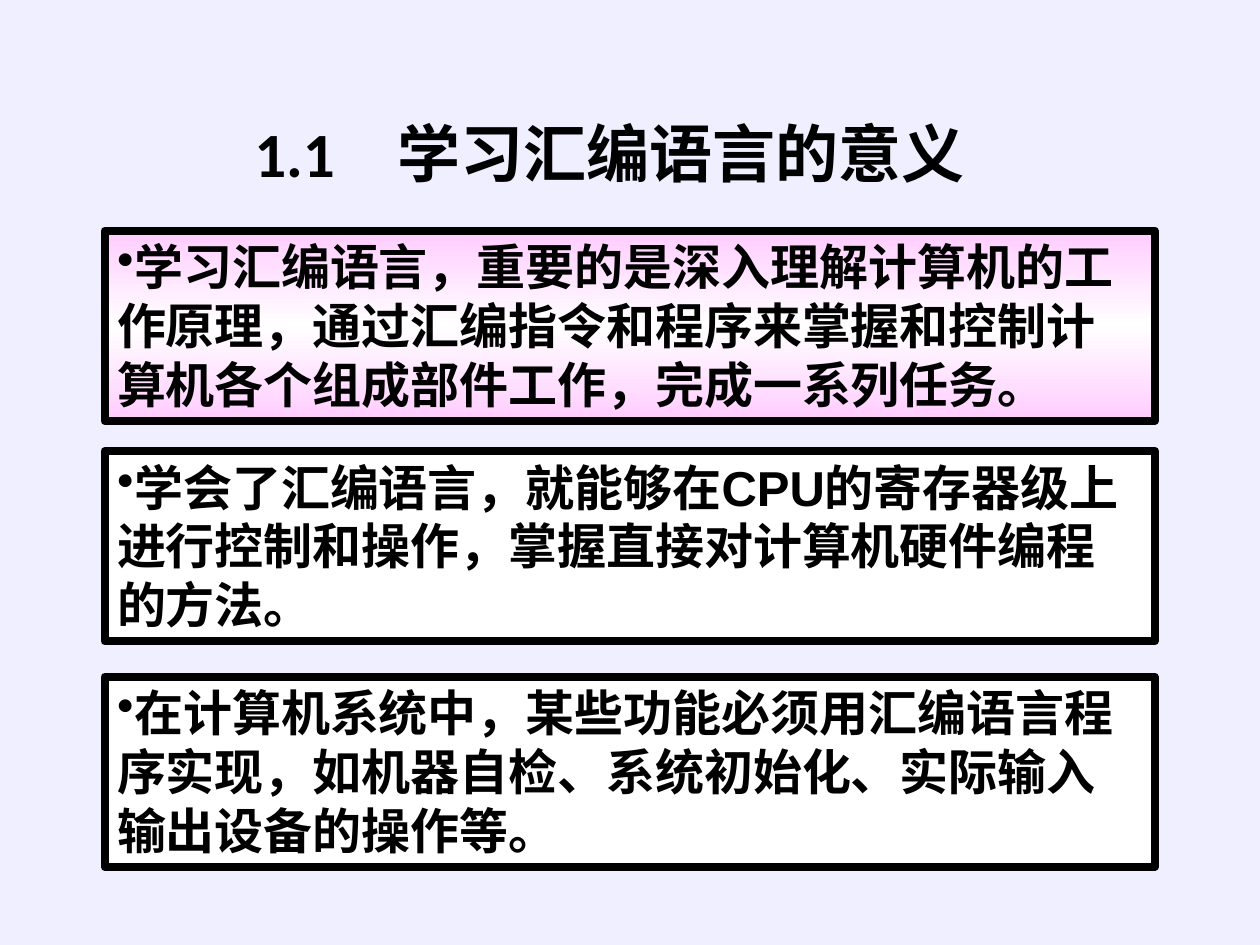
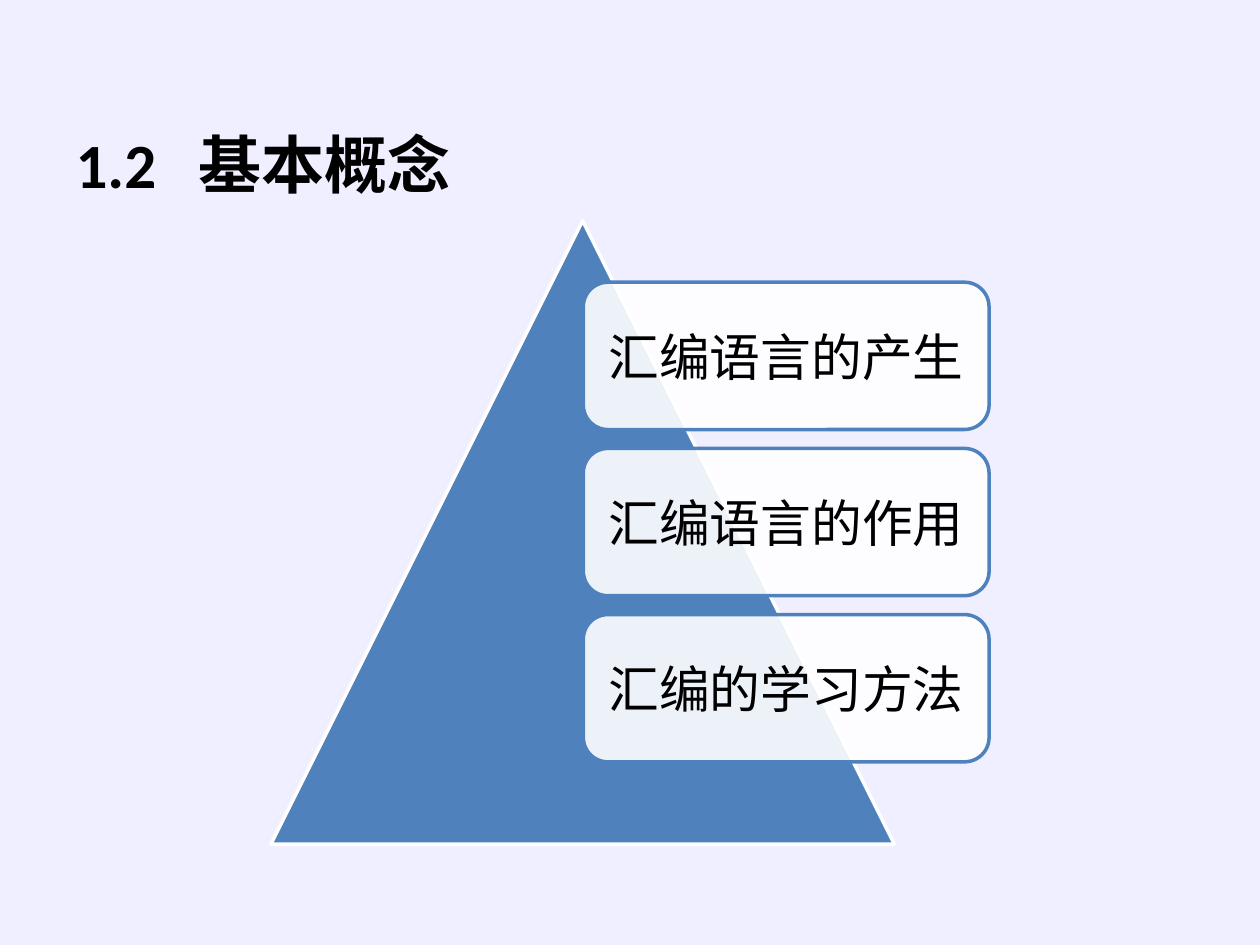
"""Build two slides on why to learn assembly language and its basic concepts."""
from copy import deepcopy

from lxml.etree import SubElement
from pptx import Presentation
from pptx.dml.color import RGBColor
from pptx.enum.shapes import MSO_SHAPE
from pptx.enum.text import MSO_ANCHOR, MSO_AUTO_SIZE, PP_ALIGN
from pptx.oxml.ns import qn
from pptx.util import Cm, Pt

LAVENDER = RGBColor(0xEF, 0xEF, 0xFF)
PINK = RGBColor(0xFF, 0xCC, 0xFF)
BLUE = RGBColor(0x4F, 0x81, 0xBD)
WHITE = RGBColor(0xFF, 0xFF, 0xFF)
BLACK = RGBColor(0x00, 0x00, 0x00)

REASONS = [
    (4.65, "学习汇编语言，重要的是深入理解计算机的工作原理，通过汇编指令和程序来掌握和控制计算机各个组成部件工作，完成一系列任务。"),
    (9.09, "学会了汇编语言，就能够在CPU的寄存器级上进行控制和操作，掌握直接对计算机硬件编程的方法。"),
    (13.64, "在计算机系统中，某些功能必须用汇编语言程序实现，如机器自检、系统初始化、实际输入输出设备的操作等。"),
]
CONCEPTS = ["汇编语言的产生", "汇编语言的作用", "汇编的学习方法"]
CONCEPT_TOP, CONCEPT_STEP = 5.69, 3.35


class Deck:
    def __init__(self):
        self.prs = Presentation()
        self.prs.slide_width, self.prs.slide_height = Cm(25.4), Cm(19.05)
        backdrop = self.prs.slide_master.background.fill
        backdrop.solid()
        backdrop.fore_color.rgb = LAVENDER
        self.slide = None

    def set_text(self, paragraph, text, font_name, size, bold, align):
        paragraph.text = text
        paragraph.alignment = align
        font = paragraph.font
        font.name, font.size, font.bold = font_name, Pt(size), bold
        font.color.rgb = BLACK

    def titled_slide(self, text, left, top, width, height, align, tab=None):
        self.slide = self.prs.slides.add_slide(self.prs.slide_layouts[5])
        title = self.slide.shapes.title
        title.left, title.top = Cm(left), Cm(top)
        title.width, title.height = Cm(width), Cm(height)
        frame = title.text_frame
        frame.auto_size = MSO_AUTO_SIZE.NONE
        frame.vertical_anchor = MSO_ANCHOR.MIDDLE
        heading = frame.paragraphs[0]
        if tab:
            stops = SubElement(heading._p.get_or_add_pPr(), qn("a:tabLst"))
            SubElement(stops, qn("a:tab"), pos=str(Cm(tab)), algn="l")
        self.set_text(heading, text, "Calibri", 36, True, align)

    def shape(self, kind, left, top, width, height, fill, line, weight):
        shape = self.slide.shapes.add_shape(kind, Cm(left), Cm(top), Cm(width), Cm(height))
        shape.shadow.inherit = False
        shape.fill.solid()
        shape.fill.fore_color.rgb = fill
        shape.line.color.rgb = line
        shape.line.width = Pt(weight)
        return shape

    def glow(self, shape):
        shape.fill.gradient()
        shape.fill.gradient_angle = 90
        stop_list = shape.fill._fill._gradFill.find(qn("a:gsLst"))
        stop_list.append(deepcopy(stop_list[-1]))
        for stop, position, color in zip(shape.fill.gradient_stops, (0, 0.5, 1), (PINK, WHITE, PINK)):
            stop.position = position
            stop.color.rgb = color

    def reason(self, top, text):
        box = self.shape(MSO_SHAPE.RECTANGLE, 2.11, top, 21.17, 3.84, WHITE, BLACK, 4.5)
        frame = box.text_frame
        frame.word_wrap = True
        frame.auto_size = MSO_AUTO_SIZE.SHAPE_TO_FIT_TEXT
        frame.vertical_anchor = MSO_ANCHOR.TOP
        paragraph = frame.paragraphs[0]
        properties = paragraph._p.get_or_add_pPr()
        properties.set("marL", "0")
        properties.set("indent", "0")
        SubElement(properties, qn("a:buFontTx"))
        SubElement(properties, qn("a:buChar"), char="•")
        self.set_text(paragraph, text, "Arial", 28, True, PP_ALIGN.LEFT)
        return box

    def concept(self, top, text):
        card = self.shape(MSO_SHAPE.ROUNDED_RECTANGLE, 11.76, top, 8.18, 2.97, WHITE, BLUE, 2)
        color = card.fill._xPr.find(qn("a:solidFill"))[0]
        SubElement(color, qn("a:alpha"), val="90000")
        frame = card.text_frame
        frame.word_wrap = True
        frame.vertical_anchor = MSO_ANCHOR.MIDDLE
        frame.margin_left = frame.margin_right = Cm(0.15)
        self.set_text(frame.paragraphs[0], text, "Calibri", 29, False, PP_ALIGN.CENTER)


def main():
    deck = Deck()

    deck.titled_slide("1.1　学习汇编语言的意义", 1.9, 1.9, 20.78, 2.34, PP_ALIGN.CENTER)
    reasons = [deck.reason(top, text) for top, text in REASONS]
    deck.glow(reasons[0])

    deck.titled_slide("1.2\t基本概念", 1.27, 1.7, 22.86, 3.18, PP_ALIGN.LEFT, tab=2.48)
    deck.shape(MSO_SHAPE.ISOSCELES_TRIANGLE, 5.46, 4.45, 12.57, 12.57, BLUE, WHITE, 2)
    for row, text in enumerate(CONCEPTS):
        deck.concept(CONCEPT_TOP + row * CONCEPT_STEP, text)

    deck.prs.save("out.pptx")


if __name__ == "__main__":
    main()
